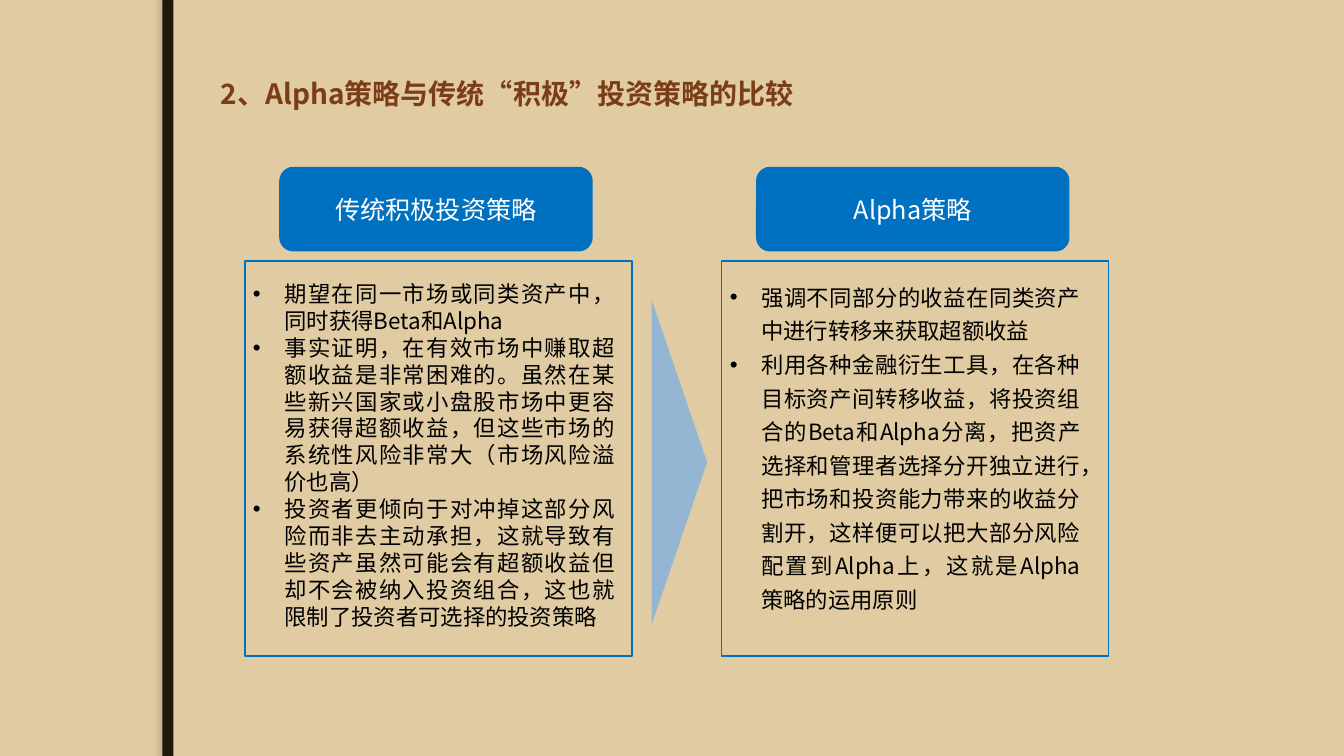
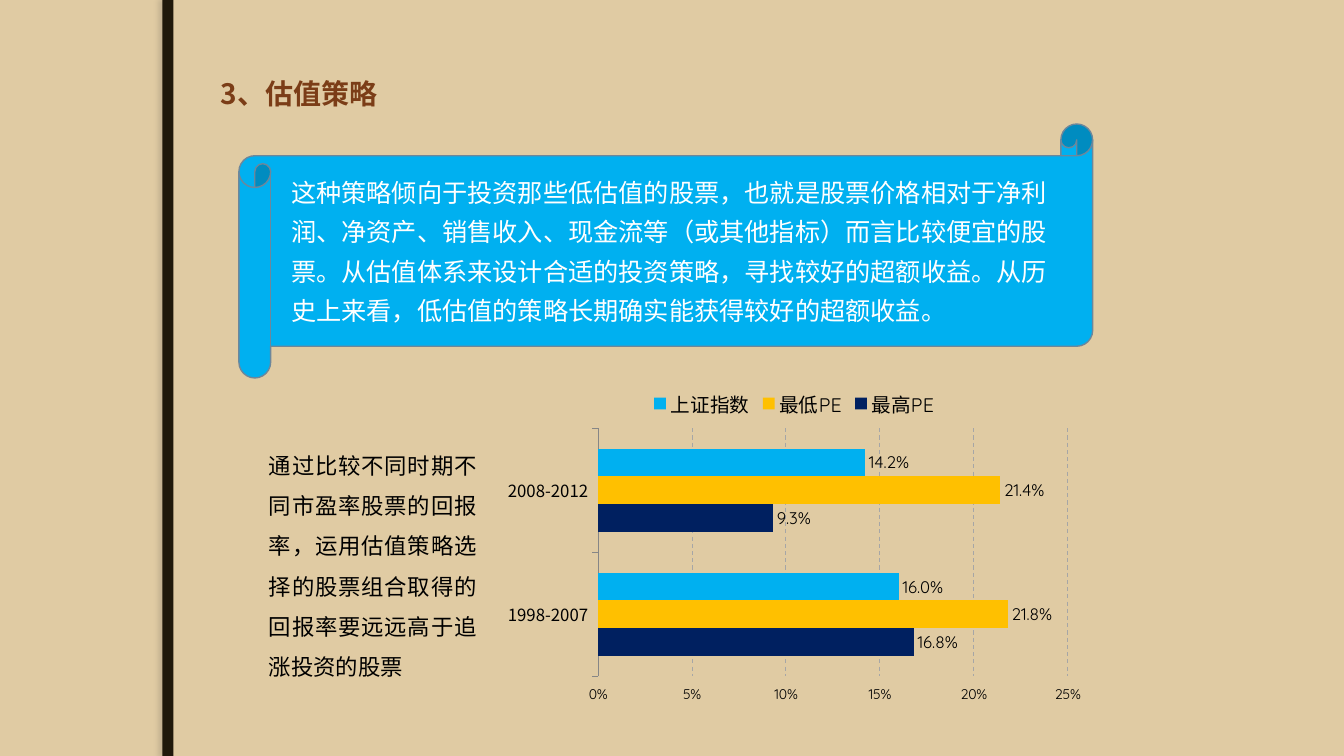
import dataclasses

import lxml.etree
import pptx
import pptx.chart.data
import pptx.dml.color
import pptx.enum.chart
import pptx.enum.dml
import pptx.enum.lang
import pptx.enum.shapes
import pptx.enum.text
import pptx.oxml.ns
import pptx.util

Shape = pptx.enum.shapes.MSO_SHAPE
Align = pptx.enum.text.PP_ALIGN
Anchor = pptx.enum.text.MSO_ANCHOR
Fit = pptx.enum.text.MSO_AUTO_SIZE
Pt = pptx.util.Pt
qn = pptx.oxml.ns.qn


@dataclasses.dataclass(frozen=True)
class Theme:
    """Colours, fonts and type sizes of the deck."""
    sand: str = "E0CBA3"
    dark: str = "20190B"
    shade: str = "766E60"
    brown: str = "7B3D17"
    blue: str = "0070C0"
    sky: str = "00B0F0"
    pale: str = "94B6D2"
    slate: str = "6D879B"
    navy: str = "002060"
    gold: str = "FFC000"
    grid: str = "A6A6A6"
    axis: str = "868686"
    white: str = "FFFFFF"
    black: str = "000000"
    font: str = "Noto Sans CJK SC"
    digit: str = "Quicksand"
    title: int = 20
    head: int = 18
    body: int = 16
    key: int = 14
    label: int = 12
    tick: int = 10


def rgb(code):
    """Turn a hex code into a colour."""
    return pptx.dml.color.RGBColor.from_string(code)


class Deck:
    """Draws on the current slide, on a grid of 40 columns and 30 rows."""

    def __init__(self, theme):
        self.theme = theme
        self.prs = pptx.Presentation()
        self.prs.slide_width = pptx.util.Inches(13.333)
        self.prs.slide_height = pptx.util.Inches(7.5)
        fill = self.prs.slide_master.background.fill
        fill.solid()
        fill.fore_color.rgb = rgb(theme.sand)
        self.layout = self.prs.slide_layouts[5]
        self.slide = None

    def area(self, col, row, wide, high):
        """Turn grid units into slide lengths."""
        x, y = self.prs.slide_width / 40, self.prs.slide_height / 30
        return int(col * x), int(row * y), int(wide * x), int(high * y)

    def page(self, title):
        """Start a slide with its title."""
        self.slide = self.prs.slides.add_slide(self.layout)
        if len(self.prs.slides) == 1:
            self.band()
        head = self.slide.shapes.title
        head.left, head.top, head.width, head.height = self.area(6.27, 1.2, 32.79, 5)
        self.words(head, [title], self.theme.title, self.theme.brown, bold=True)
        head.text_frame.auto_size = Fit.NONE
        head.text_frame.vertical_anchor = Anchor.MIDDLE

    def band(self):
        """Put the dark upright band on the layout."""
        bar = self.shape(Shape.RECTANGLE, (4.83, 0, 0.33, 30), self.theme.dark)
        glow = bar.element.spPr.find(qn("a:effectLst"))
        cast = lxml.etree.SubElement(
            glow, qn("a:outerShdw"), blurRad=str(Pt(3)), dist=str(Pt(3)),
            dir="10800000", algn="r", rotWithShape="0")
        tone = lxml.etree.SubElement(cast, qn("a:srgbClr"), val=self.theme.shade)
        lxml.etree.SubElement(tone, qn("a:alpha"), val="25000")
        bar.element.nvSpPr.cNvPr.set("id", "20")
        self.layout.shapes.element.insert(2, bar.element)

    def shape(self, kind, area, fill=None, line=None, turn=0):
        """Add a preset shape."""
        item = self.slide.shapes.add_shape(kind, *self.area(*area))
        item.shadow.inherit = False
        item.rotation = turn
        if fill:
            item.fill.solid()
            item.fill.fore_color.rgb = rgb(fill)
        else:
            item.fill.background()
        if line:
            item.line.color.rgb = rgb(line)
            item.line.width = Pt(1)
        else:
            item.line.fill.background()
        return item

    def words(self, item, lines, size, color, align=Align.LEFT, space=1,
              bold=False, dots=False):
        """Fill a shape with styled paragraphs."""
        frame = item.text_frame
        frame.text = "\n".join(lines)
        frame.word_wrap = True
        if dots:
            for para in item.element.iter(qn("a:p")):
                prop = para.get_or_add_pPr()
                prop.set("marL", str(Pt(22.5)))
                prop.set("indent", str(-Pt(22.5)))
                lxml.etree.SubElement(prop, qn("a:buFont"), typeface="Arial")
                lxml.etree.SubElement(prop, qn("a:buChar"), char="•")
        for para in frame.paragraphs:
            para.alignment = align
            para.line_spacing = space
            for run in para.runs:
                font = run.font
                font.size, font.bold = Pt(size), bold
                font.name = self.theme.font
                font.color.rgb = rgb(color)
                font.language_id = pptx.enum.lang.MSO_LANGUAGE_ID.SIMPLIFIED_CHINESE
        for prop in item.element.iter(qn("a:rPr")):
            lxml.etree.SubElement(prop, qn("a:ea"), typeface=self.theme.font)

    def text(self, area, line, size, color, **style):
        """Add a text box."""
        box = self.slide.shapes.add_textbox(*self.area(*area))
        self.words(box, [line], size, color, **style)
        box.text_frame.auto_size = Fit.SHAPE_TO_FIT_TEXT

    def panel(self, col, head, lines, space, inset):
        """Add a heading over a framed list, inset from the top and right."""
        look = self.theme
        tab = self.shape(Shape.ROUNDED_RECTANGLE, (col + 1.02, 6.62, 9.33, 3.36), look.blue)
        self.words(tab, [head], look.head, look.white, Align.CENTER)
        tab.text_frame.vertical_anchor = Anchor.MIDDLE
        box = self.shape(Shape.RECTANGLE, (col, 10.36, 11.52, 15.68), line=look.blue)
        self.words(box, lines, look.body, look.black, Align.JUSTIFY, space, dots=True)
        frame = box.text_frame
        frame.vertical_anchor = Anchor.TOP
        frame.margin_left = pptx.util.Inches(0.08)
        frame.margin_top, frame.margin_right = map(pptx.util.Inches, inset)

    def bars(self, area, cats, rows):
        """Add a bar chart from rows of name, values and colour."""
        look, enum = self.theme, pptx.enum.chart
        data = pptx.chart.data.CategoryChartData()
        data.categories = cats
        for name, vals, _ in rows:
            data.add_series(name, vals)
        chart = self.slide.shapes.add_chart(
            enum.XL_CHART_TYPE.BAR_CLUSTERED, *self.area(*area), data).chart
        chart.has_title = False
        chart.font.name, chart.font.size = look.digit, Pt(look.tick)
        chart.font.color.rgb = rgb(look.black)
        chart.has_legend = True
        chart.legend.position = enum.XL_LEGEND_POSITION.TOP
        chart.legend.include_in_layout = False
        chart.legend.font.size = Pt(look.key)

        side = chart.category_axis
        side.tick_labels.font.size = Pt(look.label)
        side.tick_labels.font.name = look.font
        side.format.line.color.rgb = rgb(look.axis)
        base = chart.value_axis
        base.minimum_scale, base.maximum_scale, base.major_unit = 0, 0.25, 0.05
        base.tick_labels.number_format = "0%"
        base.tick_labels.number_format_is_linked = False
        base.format.line.fill.background()
        rule = base.major_gridlines.format.line
        rule.color.rgb = rgb(look.grid)
        rule.width = Pt(0.75)
        rule.dash_style = pptx.enum.dml.MSO_LINE.DASH

        plot = chart.plots[0]
        plot.gap_width, plot.overlap = 150, 0
        plot.vary_by_categories = False
        for bar, (_, _, color) in zip(plot.series, rows):
            bar.format.fill.solid()
            bar.format.fill.fore_color.rgb = rgb(color)
            tags = bar.data_labels
            tags.show_value = True
            tags.number_format = "0.0%"
            tags.number_format_is_linked = False
            tags.position = enum.XL_LABEL_POSITION.OUTSIDE_END
            tags.font.size = Pt(look.label)


def main():
    """Build and save the deck."""
    look = Theme()
    deck = Deck(look)

    deck.page("2、Alpha策略与传统“积极”投资策略的比较")
    deck.panel(7.29, "传统积极投资策略", [
        "期望在同一市场或同类资产中，同时获得Beta和Alpha",
        "事实证明，在有效市场中赚取超额收益是非常困难的。虽然在某些新兴国家或小盘股市场中"
        "更容易获得超额收益，但这些市场的系统性风险非常大（市场风险溢价也高）",
        "投资者更倾向于对冲掉这部分风险而非去主动承担，这就导致有些资产虽然可能会有超额收益"
        "但却不会被纳入投资组合，这也就限制了投资者可选择的投资策略",
    ], 1, (0.19, 0.17))
    deck.panel(21.48, "Alpha策略", [
        "强调不同部分的收益在同类资产中进行转移来获取超额收益",
        "利用各种金融衍生工具，在各种目标资产间转移收益，将投资组合的Beta和Alpha分离，"
        "把资产选择和管理者选择分开独立进行，把市场和投资能力带来的收益分割开，"
        "这样便可以把大部分风险配置到Alpha上，这就是Alpha策略的运用原则",
    ], 1.25, (0.16, 0.28))
    deck.shape(Shape.ISOSCELES_TRIANGLE, (15.39, 17.24, 9.66, 2.2), look.pale, turn=90)

    deck.page("3、估值策略")
    deck.shape(Shape.HORIZONTAL_SCROLL, (7.11, 4.92, 25.41, 10.08), look.sky, look.slate)
    deck.text(
        (8.37, 6.48, 23.22, 6.72),
        "这种策略倾向于投资那些低估值的股票，也就是股票价格相对于净利润、净资产、销售收入、"
        "现金流等（或其他指标）而言比较便宜的股票。从估值体系来设计合适的投资策略，"
        "寻找较好的超额收益。从历史上来看，低估值的策略长期确实能获得较好的超额收益。",
        look.head, look.white, space=1.3)
    deck.text(
        (7.71, 17.2, 6.78, 10.08),
        "通过比较不同时期不同市盈率股票的回报率，运用估值策略选择的股票组合取得的回报率"
        "要远远高于追涨投资的股票",
        look.body, look.black, align=Align.JUSTIFY, space=1.5)
    deck.bars((14.76, 15, 17.76, 13.16), ["1998-2007", "2008-2012"], [
        ("最高PE", (0.168, 0.093), look.navy),
        ("最低PE", (0.218, 0.214), look.gold),
        ("上证指数", (0.16, 0.142), look.sky),
    ])
    deck.prs.save("out.pptx")


if __name__ == "__main__":
    main()
